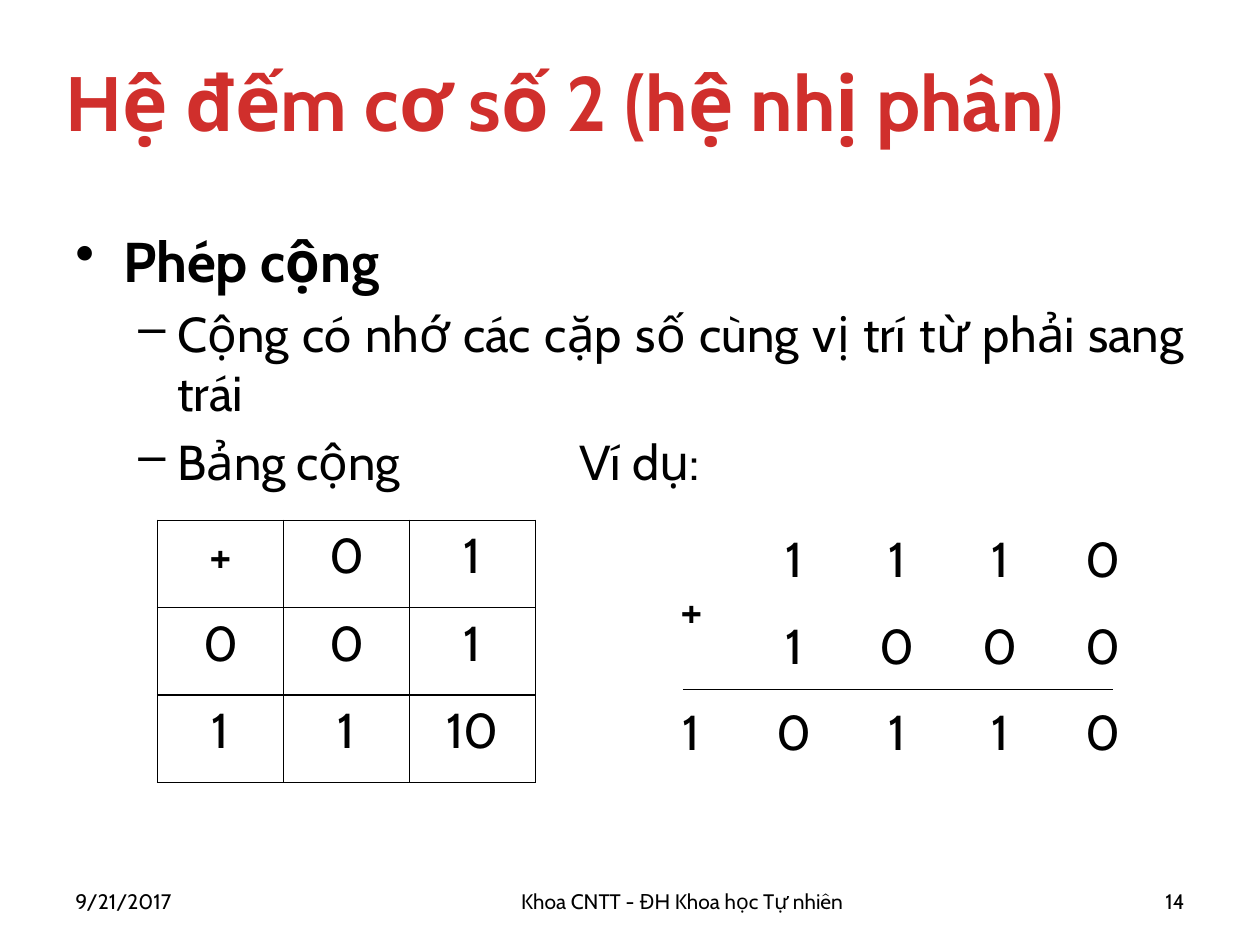
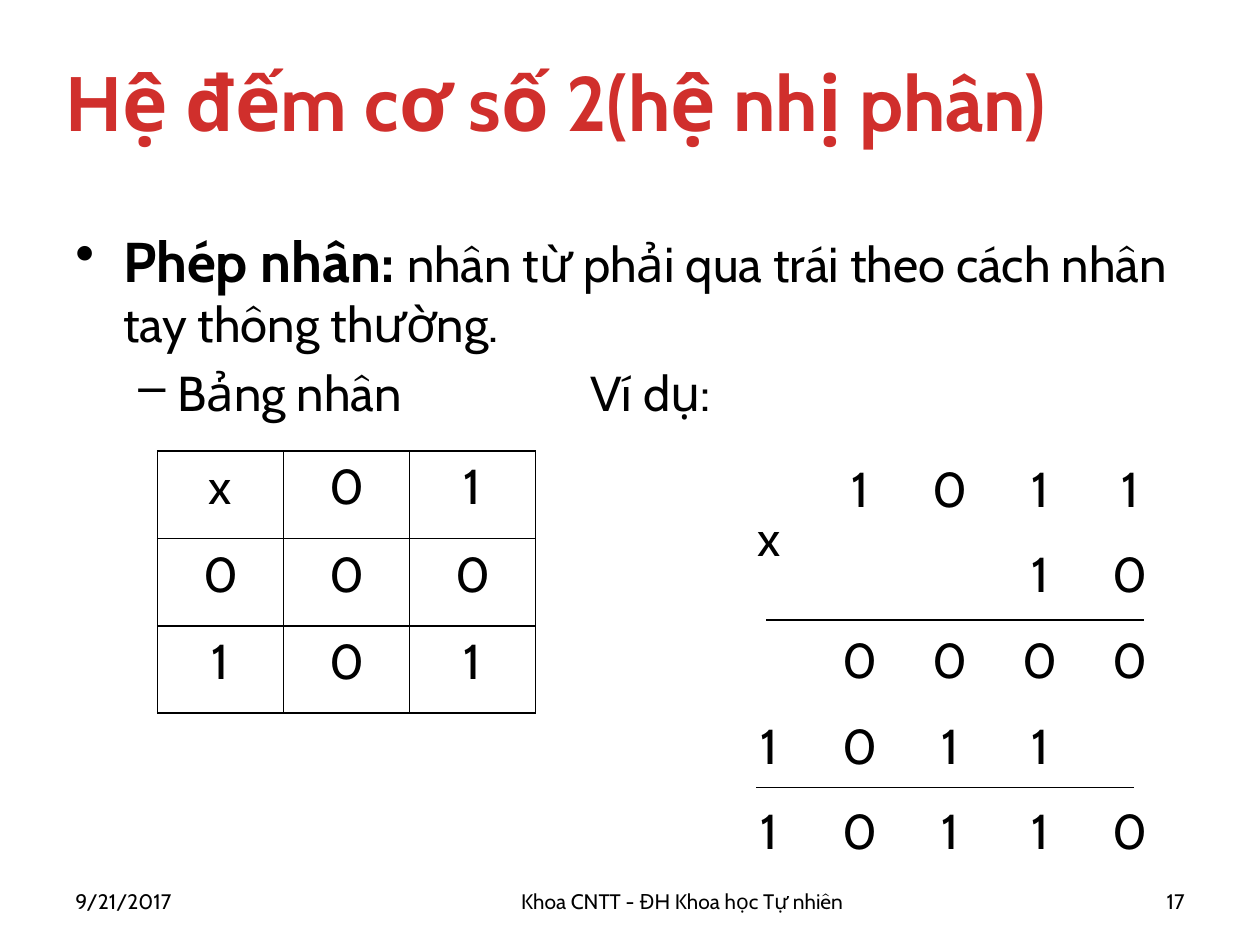
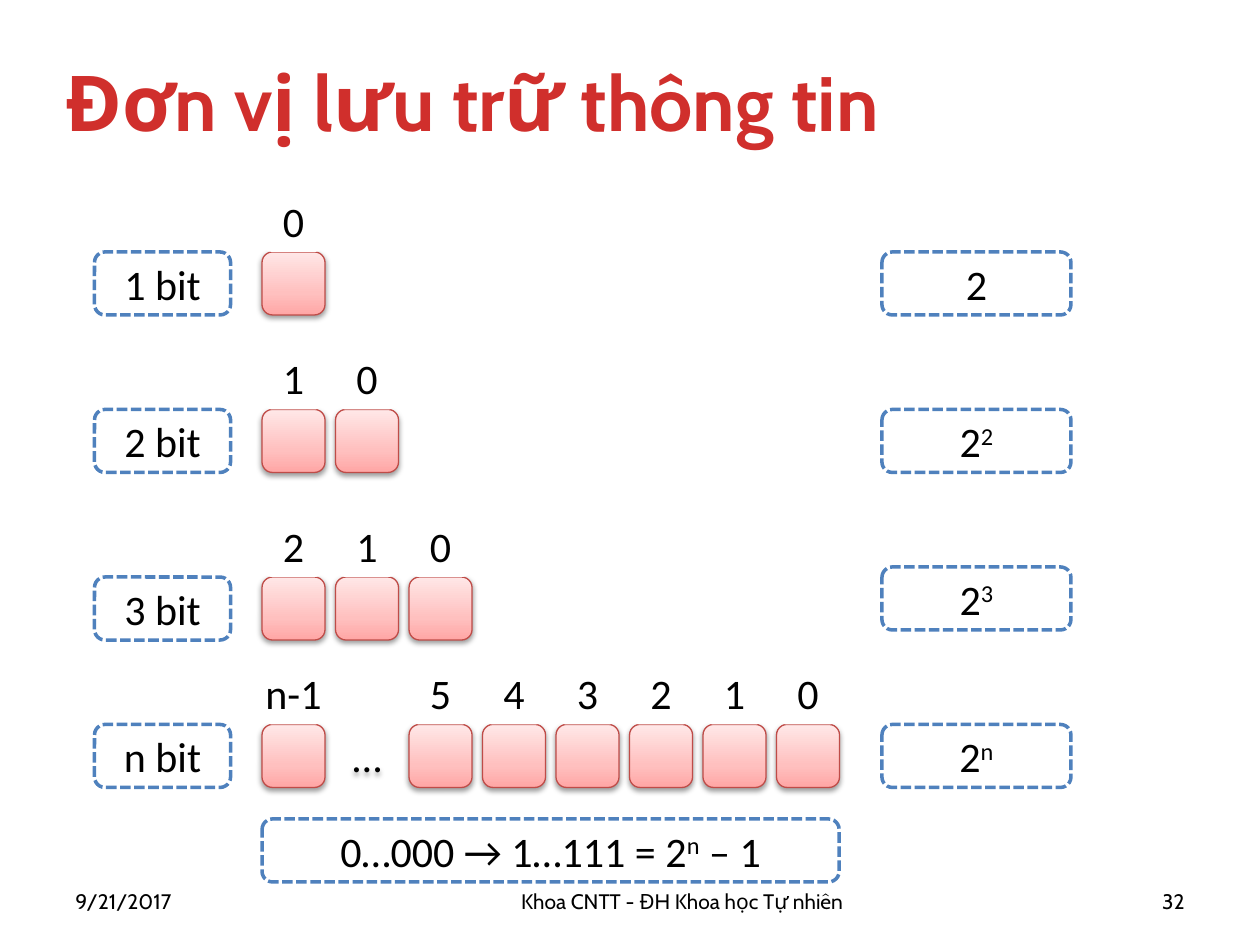
from copy import deepcopy

from lxml import etree
from pptx import Presentation
from pptx.dml.color import RGBColor
from pptx.enum.dml import MSO_LINE
from pptx.enum.shapes import MSO_CONNECTOR, MSO_SHAPE
from pptx.enum.text import MSO_ANCHOR, PP_ALIGN
from pptx.oxml.ns import qn
from pptx.util import Inches, Pt

LEFT, CENTER, RIGHT, JUSTIFY = PP_ALIGN.LEFT, PP_ALIGN.CENTER, PP_ALIGN.RIGHT, PP_ALIGN.JUSTIFY
MIDDLE = MSO_ANCHOR.MIDDLE
ROUNDED = MSO_SHAPE.ROUNDED_RECTANGLE
STRAIGHT = MSO_CONNECTOR.STRAIGHT
DASHED = MSO_LINE.SQUARE_DOT

BLACK = RGBColor(0x00, 0x00, 0x00)
WHITE = RGBColor(0xFF, 0xFF, 0xFF)
TITLE_RED = RGBColor(0xD0, 0x2F, 0x2C)
FRAME_BLUE = RGBColor(0x4F, 0x81, 0xBD)
BIT_LINE = RGBColor(0xBF, 0x4C, 0x48)
BIT_STOPS = (
    (0, RGBColor(0xFF, 0xA6, 0xA5)),
    (0.35, RGBColor(0xFF, 0xC0, 0xBF)),
    (1, RGBColor(0xFF, 0xE7, 0xE7)),
)

TEXT_FONT = "Cabin"
DIAGRAM_FONT = "Calibri"
PLAIN_TABLE_STYLE = "{2D5ABB26-0587-4C30-8999-92F81FD0307C}"
DATE = "9/21/2017"
FOOTER = "Khoa CNTT - ĐH Khoa học Tự nhiên"
BULLETS = (("•", 0.38, -0.38), ("–", 0.81, -0.31))

BIT_SIZE = 0.5
BIT_LEFT = 2.08
BIT_STEP = 7 / 12


def style(paragraph, size, align=LEFT, bold=False, color=BLACK, name=TEXT_FONT):
    paragraph.alignment = align
    font = paragraph.font
    font.name, font.size, font.bold = name, Pt(size), bold
    font.color.rgb = color


def add_space_before(paragraph):
    spacing = etree.SubElement(paragraph._p.get_or_add_pPr(), qn("a:spcBef"))
    etree.SubElement(spacing, qn("a:spcPct")).set("val", "20000")


def add_text_box(page, left, top, width, height):
    box = page.shapes.add_textbox(Inches(left), Inches(top), Inches(width), Inches(height))
    box.text_frame.word_wrap = True
    return box.text_frame


def add_line_of_text(page, text, place, size, **look):
    frame = add_text_box(page, *place)
    frame.vertical_anchor = MIDDLE
    para = frame.paragraphs[0]
    para.text = text
    style(para, size, **look)


def add_page(deck, title, number):
    page = deck.slides.add_slide(deck.slide_layouts[6])
    add_line_of_text(page, title, (0.42, 0.17, 9.42, 1.25), 44, bold=True, color=TITLE_RED)
    add_line_of_text(page, DATE, (0.5, 6.95, 1.08, 0.4), 12)
    add_line_of_text(page, FOOTER, (2.08, 6.95, 6.67, 0.4), 12, align=CENTER)
    add_line_of_text(page, str(number), (8.92, 6.95, 0.58, 0.4), 12, align=RIGHT)
    return page


def add_bullet(frame, level, lead, text):
    para = frame.paragraphs[0] if level == 0 else frame.add_paragraph()
    symbol, margin, indent = BULLETS[level]
    properties = para._p.get_or_add_pPr()
    properties.set("marL", str(Inches(margin)))
    properties.set("indent", str(Inches(indent)))
    para.level = level
    add_space_before(para)
    etree.SubElement(properties, qn("a:buChar")).set("char", symbol)
    style(para, 28, align=JUSTIFY if level else LEFT)
    if lead:
        span = para.add_run()
        span.text = lead
        span.font.size, span.font.bold = Pt(32), True
    if text:
        para.add_run().text = text


def add_body(page, lead, text, details):
    frame = add_text_box(page, 0.5, 1.75, 9, 4.95)
    add_bullet(frame, 0, lead, text)
    for detail in details:
        add_bullet(frame, 1, "", detail)


def add_cell_borders(cell):
    properties = cell._tc.get_or_add_tcPr()
    for side in ("a:lnL", "a:lnR", "a:lnT", "a:lnB"):
        border = etree.SubElement(properties, qn(side), w=str(Pt(1)))
        fill = etree.SubElement(border, qn("a:solidFill"))
        etree.SubElement(fill, qn("a:srgbClr")).set("val", str(BLACK))


def add_digit_table(page, rows, left, top, width, height, bordered=False):
    place = [Inches(value) for value in (left, top, width, height)]
    table = page.shapes.add_table(len(rows), len(rows[0]), *place).table
    table.first_row = table.horz_banding = False
    table._tbl.tblPr.find(qn("a:tableStyleId")).text = PLAIN_TABLE_STYLE
    for row, digits in enumerate(rows):
        for column, digit in enumerate(digits):
            cell = table.cell(row, column)
            if bordered:
                add_cell_borders(cell)
            cell.fill.background()
            cell.text = digit.strip()
            para = cell.text_frame.paragraphs[0]
            add_space_before(para)
            style(para, 28, align=CENTER)
    return table


def add_operation_table(page, operator, results, top):
    (a, b), (c, d) = results
    rows = ((operator, "0", "1"), ("0", a, b), ("1", c, d))
    add_digit_table(page, rows, 1.25, top, 3, 2.08, bordered=True)


def add_worked_example(page, rows, left, top, width, height):
    table = add_digit_table(page, rows, left, top, width, height)
    operator = table.cell(0, 0)
    operator.merge(table.cell(1, 0))
    operator.vertical_anchor = MIDDLE


def add_rule(page, left, right, top):
    rule = page.shapes.add_connector(STRAIGHT, Inches(left), Inches(top), Inches(right), Inches(top))
    rule.line.color.rgb = BLACK
    rule.line.width = Pt(0.75)
    etree.SubElement(rule._element.spPr, qn("a:effectLst"))


def add_rounded(page, left, top, width):
    shape = page.shapes.add_shape(ROUNDED, Inches(left), Inches(top), Inches(width), Inches(BIT_SIZE))
    shape.shadow.inherit = False
    return shape


def add_shadow(shape):
    effects = shape._element.spPr.find(qn("a:effectLst"))
    shadow = etree.SubElement(
        effects, qn("a:outerShdw"), blurRad=str(Pt(3.1)), dist=str(Pt(1.6)), dir="5400000", rotWithShape="0"
    )
    color = etree.SubElement(shadow, qn("a:srgbClr"), val=str(BLACK))
    etree.SubElement(color, qn("a:alpha"), val="38000")


def add_bit(page, left, top):
    bit = add_rounded(page, left, top, BIT_SIZE)
    bit.fill.gradient()
    bit.fill.gradient_angle = 90
    first = bit._element.spPr.find(".//" + qn("a:gs"))
    first.addnext(deepcopy(first))
    for stop, (position, color) in zip(bit.fill.gradient_stops, BIT_STOPS):
        stop.position = position
        stop.color.rgb = color
    bit.line.color.rgb = BIT_LINE
    bit.line.width = Pt(0.75)
    add_shadow(bit)


def add_label(page, left, top, width, text, exponent="", tail="", framed=False):
    label = add_rounded(page, left, top, width)
    label.fill.solid()
    label.fill.fore_color.rgb = WHITE
    if framed:
        label.line.color.rgb = FRAME_BLUE
        label.line.width = Pt(2)
        label.line.dash_style = DASHED
    else:
        label.line.fill.background()
    frame = label.text_frame
    frame.word_wrap = False
    frame.vertical_anchor = MIDDLE
    para = frame.paragraphs[0]
    style(para, 24, align=CENTER, name=DIAGRAM_FONT)
    for part in filter(None, (text, exponent, tail)):
        span = para.add_run()
        span.text = part
        if part == exponent and part is not text:
            span.font._element.set("baseline", "30000")
    return label


def add_bit_row(page, top, name, positions, exponent, count_top):
    add_label(page, 0.75, top, 1.08, name, framed=True)
    for index, position in enumerate(positions):
        left = BIT_LEFT + index * BIT_STEP
        if position == "…":
            gap = add_label(page, left, top, BIT_SIZE, position)
            gap.fill.background()
            add_shadow(gap)
        else:
            add_bit(page, left, top)
            add_label(page, left, top - BIT_SIZE, BIT_SIZE, position)
    add_power(page, 7, count_top, 1.5, "2", exponent)


def add_power(page, left, top, width, base, exponent, tail=""):
    label = add_label(page, left, top, width, base, framed=True)
    para = label.text_frame.paragraphs[0]
    if exponent:
        raised = para.add_run()
        raised.text = exponent
        raised.font._element.set("baseline", "30000")
    if tail:
        para.add_run().text = tail


def add_addition(deck):
    page = add_page(deck, "Hệ đếm cơ số 2 (hệ nhị phân)", 14)
    details = ("Cộng có nhớ các cặp số cùng vị trí từ phải sang trái", "Bảng cộng\t\t\tVí dụ:")
    add_body(page, "Phép cộng", "", details)
    add_operation_table(page, "+", (("0", "1"), ("1", "10")), 4.13)
    add_worked_example(page, ("+1110", " 1000", "10110"), 5.08, 4.16, 4.08, 2.06)
    add_rule(page, 5.42, 8.83, 5.47)


def add_multiplication(deck):
    page = add_page(deck, "Hệ đếm cơ số 2(hệ nhị phân)", 17)
    text = "nhân từ phải qua trái theo cách nhân tay thông thường."
    add_body(page, "Phép nhân: ", text, ("Bảng nhân\t\t\t Ví dụ:",))
    add_operation_table(page, "x", (("0", "0"), ("0", "1")), 3.58)
    rows = ("x1011", "   10", " 0000", "1011 ", "10110")
    add_worked_example(page, rows, 5.75, 3.6, 3.58, 3.4)
    add_rule(page, 6.08, 9.08, 4.92)
    add_rule(page, 6, 9, 6.25)


def add_storage_units(deck):
    page = add_page(deck, "Đơn vị lưu trữ thông tin", 32)
    add_bit_row(page, 2, "1 bit", ("0",), "", 2)
    add_bit_row(page, 3.25, "2 bit", ("1", "0"), "2", 3.25)
    add_bit_row(page, 4.58, "3 bit", ("2", "1", "0"), "3", 4.5)
    add_bit_row(page, 5.75, "n bit", ("n-1", "…", "5", "4", "3", "2", "1", "0"), "n", 5.75)
    add_power(page, BIT_LEFT, 6.5, 4.58, "0…000 → 1…111 = 2", "n", " – 1")


def main():
    deck = Presentation()
    deck.slide_width, deck.slide_height = Inches(10), Inches(7.5)
    add_addition(deck)
    add_multiplication(deck)
    add_storage_units(deck)
    deck.save("out.pptx")


if __name__ == "__main__":
    main()
